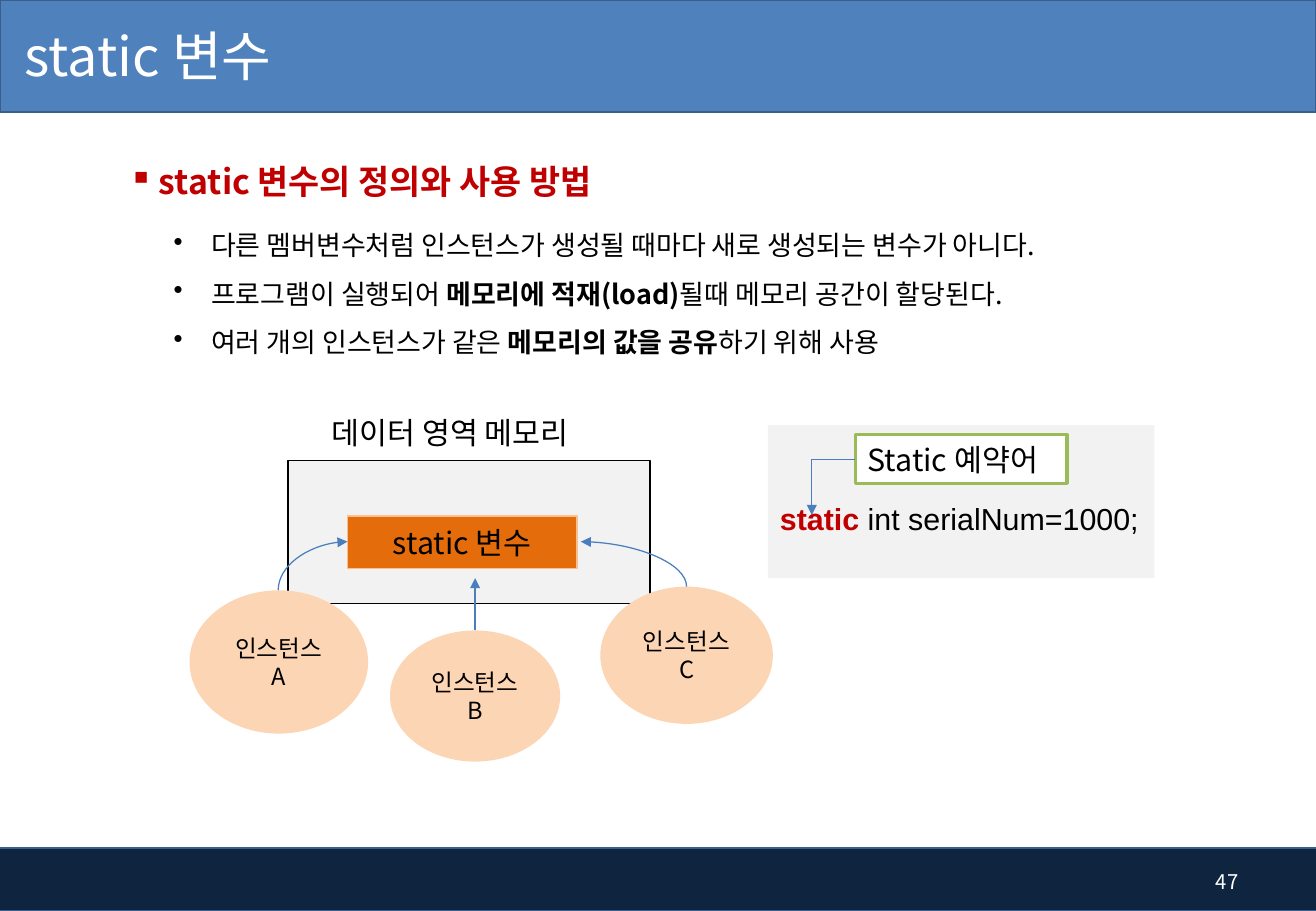
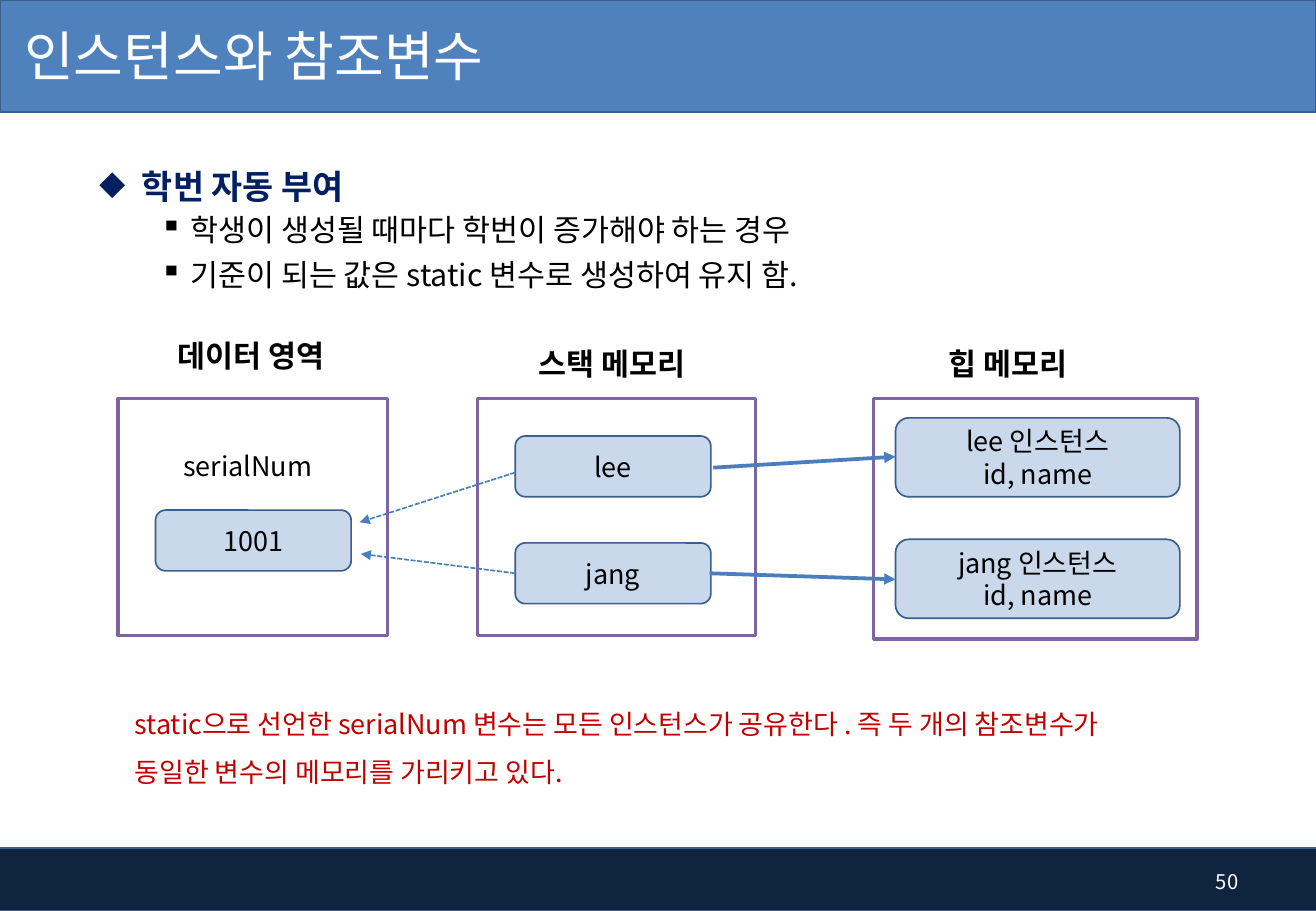
import math

import pptx
import pptx.dml.color
import pptx.enum.dml
import pptx.enum.shapes
import pptx.enum.text
import pptx.oxml.ns
import pptx.util
from lxml import etree

Inches = pptx.util.Inches
Pt = pptx.util.Pt
Shape = pptx.enum.shapes.MSO_SHAPE
Connector = pptx.enum.shapes.MSO_CONNECTOR
Align = pptx.enum.text.PP_ALIGN
Anchor = pptx.enum.text.MSO_ANCHOR
Dash = pptx.enum.dml.MSO_LINE
qn = pptx.oxml.ns.qn

COLORS = {
    "white": "FFFFFF", "black": "000000", "band": "4F81BD", "footer": "0F243E",
    "edge": "3A5F8C", "arrow": "4B7EBC", "red": "C00000", "navy": "002060",
    "gray": "F2F2F2", "orange": "E46C0A", "peach": "FAC090",
    "instance": "FCD5B5", "green": "9BBB59", "purple": "8064A2",
}
SANS = "Noto Sans CJK KR"
CENTERED = {"alignment": Align.CENTER}
NODE = {"fill": "band", "line": "edge", "alpha": 30, "size": 16}


def color(name):
    return pptx.dml.color.RGBColor.from_string(COLORS[name])


def assign(target, values):
    for name, value in values.items():
        setattr(target, name, value)


class Deck:
    def __init__(self, width, height):
        self.presentation = pptx.Presentation()
        assign(self.presentation, {"slide_width": Inches(width), "slide_height": Inches(height)})
        self.slide = None

    def new_slide(self, title, number):
        self.slide = self.presentation.slides.add_slide(self.presentation.slide_layouts[6])
        self.shape(Shape.RECTANGLE, (-0.04, 6.98, 10.88, 0.52), fill="footer", line="edge")
        self.shape(Shape.RECTANGLE, (0, 0, 10.83, 0.92), fill="band", line="edge")
        self.text((0, -0.02, 6.78, 0.94), [title], size=32, ink="white",
                  frame={"vertical_anchor": Anchor.MIDDLE, "margin_left": Inches(0.2)})
        self.text((9.68, 7.06, 0.61, 0.4), [str(number)], size=12, ink="white",
                  layout={"alignment": Align.RIGHT}, frame={"vertical_anchor": Anchor.MIDDLE})

    def fill_text(self, text_frame, paragraphs, size=18, ink="black", bold=False, font=SANS,
                  layout=None, bullet=None, frame=None):
        assign(text_frame, {"word_wrap": True, **(frame or {})})
        for index, runs in enumerate(paragraphs):
            paragraph = text_frame.paragraphs[0] if index == 0 else text_frame.add_paragraph()
            values = dict(layout or {})
            if index == 0:
                values.pop("space_before", None)
            if bullet:
                self.bullet(paragraph, *bullet)
            assign(paragraph, values)
            for item in [runs] if isinstance(runs, str) else runs:
                content, changes = (item, {}) if isinstance(item, str) else item
                style = {"size": size, "bold": bold, "ink": ink, **changes}
                run = paragraph.add_run()
                run.text = content
                run.font.color.rgb = color(style["ink"])
                assign(run.font, {"name": font, "size": Pt(style["size"]), "bold": style["bold"]})
                east_asian = etree.SubElement(run._r.get_or_add_rPr(), qn("a:ea"))
                east_asian.set("typeface", font)

    def bullet(self, paragraph, mark, margin, hanging):
        properties = paragraph._p.get_or_add_pPr()
        properties.set("marL", str(Inches(margin)))
        properties.set("indent", str(-Inches(hanging)))
        etree.SubElement(properties, qn("a:buChar")).set("char", mark)

    def text(self, box, paragraphs, **style):
        shape = self.slide.shapes.add_textbox(*map(Inches, box))
        self.fill_text(shape.text_frame, paragraphs, **style)

    def shape(self, kind, box, paragraphs=(), fill="white", line=None, width=1, alpha=None,
              layout=CENTERED, frame=None, **style):
        shape = self.slide.shapes.add_shape(kind, *map(Inches, box))
        shape.shadow.inherit = False
        shape.fill.solid()
        shape.fill.fore_color.rgb = color(fill)
        if alpha:
            solid = shape._element.spPr.find(qn("a:solidFill"))
            etree.SubElement(solid[0], qn("a:alpha")).set("val", str(alpha * 1000))
        if line:
            shape.line.color.rgb = color(line)
            shape.line.width = Pt(width)
        else:
            shape.line.fill.background()
        frame = {"vertical_anchor": Anchor.MIDDLE, **(frame or {})}
        self.fill_text(shape.text_frame, paragraphs, layout=layout, frame=frame, **style)

    def arrow(self, start, end, width=0.75, kind=Connector.STRAIGHT, preset=None, angle=0,
              dash=None):
        center = [(a + b) / 2 for a, b in zip(start, end)]
        cosine, sine = math.cos(math.radians(angle)), math.sin(math.radians(angle))
        points = []
        for x, y in (start, end):
            dx, dy = x - center[0], y - center[1]
            points += [center[0] + dx * cosine + dy * sine, center[1] - dx * sine + dy * cosine]
        connector = self.slide.shapes.add_connector(kind, *map(Inches, points))
        connector.line.color.rgb = color("arrow")
        assign(connector.line, {"width": Pt(width), "dash_style": dash})
        properties = connector._element.spPr
        if preset:
            properties.find(qn("a:prstGeom")).set("prst", preset)
            properties.find(qn("a:xfrm")).set("rot", str(angle * 60000))
        line = properties.find(qn("a:ln"))
        etree.SubElement(line, qn("a:tailEnd")).set("type", "triangle")
        etree.SubElement(properties, qn("a:effectLst"))


def static_variable(deck):
    deck.new_slide("static 변수", 47)
    deck.text((0.96, 1.11, 4.62, 0.65), ["static 변수의 정의와 사용 방법"], size=20, ink="red",
              bold=True, layout={"line_spacing": 1.5}, bullet=("▪", 0.25, 0.25))
    strong = {"bold": True}
    deck.text((0.83, 1.7, 8.69, 1.31), [
        "다른 멤버변수처럼 인스턴스가 생성될 때마다 새로 생성되는 변수가 아니다.",
        ["프로그램이 실행되어 ", ("메모리에 적재(load)", strong), "될때 메모리 공간이 할당된다."],
        ["여러 개의 인스턴스가 같은 ", ("메모리의 값을 공유", strong), "하기 위해 사용"],
    ], size=16, layout={"line_spacing": 1.5}, bullet=("•", 0.81, 0.31))

    deck.shape(Shape.RECTANGLE, (2.37, 3.79, 2.98, 1.18), fill="gray", line="black")
    deck.shape(Shape.RECTANGLE, (2.86, 4.25, 1.89, 0.43), ["static 변수"],
               fill="orange", line="peach")
    deck.text((2.63, 3.36, 2.55, 0.4), ["데이터 영역 메모리"])
    for letter, box in (("A", (1.56, 4.86, 1.47, 1.18)),
                        ("B", (3.21, 5.19, 1.4, 1.08)),
                        ("C", (4.94, 4.83, 1.42, 1.13))):
        deck.shape(Shape.OVAL, box, ["인스턴스", letter], fill="instance", size=14)
    curve = {"kind": Connector.CURVE, "preset": "curvedConnector2"}
    deck.arrow((2.29, 4.86), (2.86, 4.46), angle=90, **curve)
    deck.arrow((3.91, 5.19), (3.91, 4.76))
    deck.arrow((5.65, 4.83), (4.78, 4.46), angle=270, **curve)

    left = {"alignment": Align.LEFT}
    deck.shape(Shape.RECTANGLE, (6.32, 3.5, 3.18, 1.26),
               [[("static ", {"ink": "red", "bold": True}), "int serialNum=1000;"]],
               fill="gray", font="Arial", layout=left, frame={"margin_top": Inches(0.32)})
    deck.shape(Shape.RECTANGLE, (7.04, 3.58, 1.74, 0.4), ["Static 예약어"],
               line="green", width=2, layout=left)
    deck.arrow((7.04, 3.78), (6.68, 4.24), angle=180, kind=Connector.ELBOW,
               preset="bentConnector2")


def instances_and_references(deck):
    deck.new_slide("인스턴스와 참조변수", 50)
    deck.text((0.72, 1.15, 9.42, 0.6), ["학번 자동 부여"], size=20, ink="navy", bold=True,
              layout={"line_spacing": 1.5}, bullet=("◆", 0.35, 0.35))
    deck.text((0.72, 1.69, 9.42, 0.85), [
        "학생이 생성될 때마다 학번이 증가해야 하는 경우",
        "기준이 되는 값은 static 변수로 생성하여 유지 함.",
    ], layout={"space_before": Pt(5)}, bullet=("▪", 0.75, 0.25))

    for heading, label, area in (
        ("데이터 영역", (1.27, 2.73, 1.59, 0.4), (0.97, 3.28, 2.22, 1.95)),
        ("스택 메모리", (4.24, 2.79, 1.59, 0.4), (3.93, 3.28, 2.29, 1.95)),
        ("힙 메모리", (7.61, 2.79, 1.37, 0.4), (7.19, 3.28, 2.66, 1.98)),
    ):
        deck.shape(Shape.RECTANGLE, area, line="purple", width=2)
        deck.text(label, [heading], bold=True, layout=CENTERED)

    deck.text((1.29, 3.65, 1.5, 0.37), ["serialNum"], size=16, layout=CENTERED)
    deck.shape(Shape.ROUNDED_RECTANGLE, (1.28, 4.2, 1.61, 0.5), ["1001"], **NODE)
    for name, stack_top, heap_top, reference, shared in (
        ("lee", 3.59, 3.44, ((5.87, 3.85), (7.37, 3.76)), ((4.24, 3.89), (2.96, 4.3))),
        ("jang", 4.47, 4.44, ((5.84, 4.72), (7.37, 4.77)), ((4.24, 4.72), (2.97, 4.56))),
    ):
        deck.shape(Shape.ROUNDED_RECTANGLE, (4.24, stack_top, 1.61, 0.5), [name], **NODE)
        deck.shape(Shape.ROUNDED_RECTANGLE, (7.37, heap_top, 2.34, 0.65),
                   [f"{name} 인스턴스", "id, name"], **NODE)
        deck.arrow(*reference, width=2.25)
        deck.arrow(*shared, width=1, dash=Dash.SQUARE_DOT)

    deck.text((1.01, 5.64, 8.7, 0.86), [
        "static으로 선언한 serialNum 변수는 모든 인스턴스가 공유한다 . "
        "즉 두 개의 참조변수가 동일한 변수의 메모리를 가리키고 있다.",
    ], size=16, ink="red", layout={"line_spacing": 1.5})


def main():
    deck = Deck(10.83, 7.5)
    static_variable(deck)
    instances_and_references(deck)
    deck.presentation.save("out.pptx")


if __name__ == "__main__":
    main()
